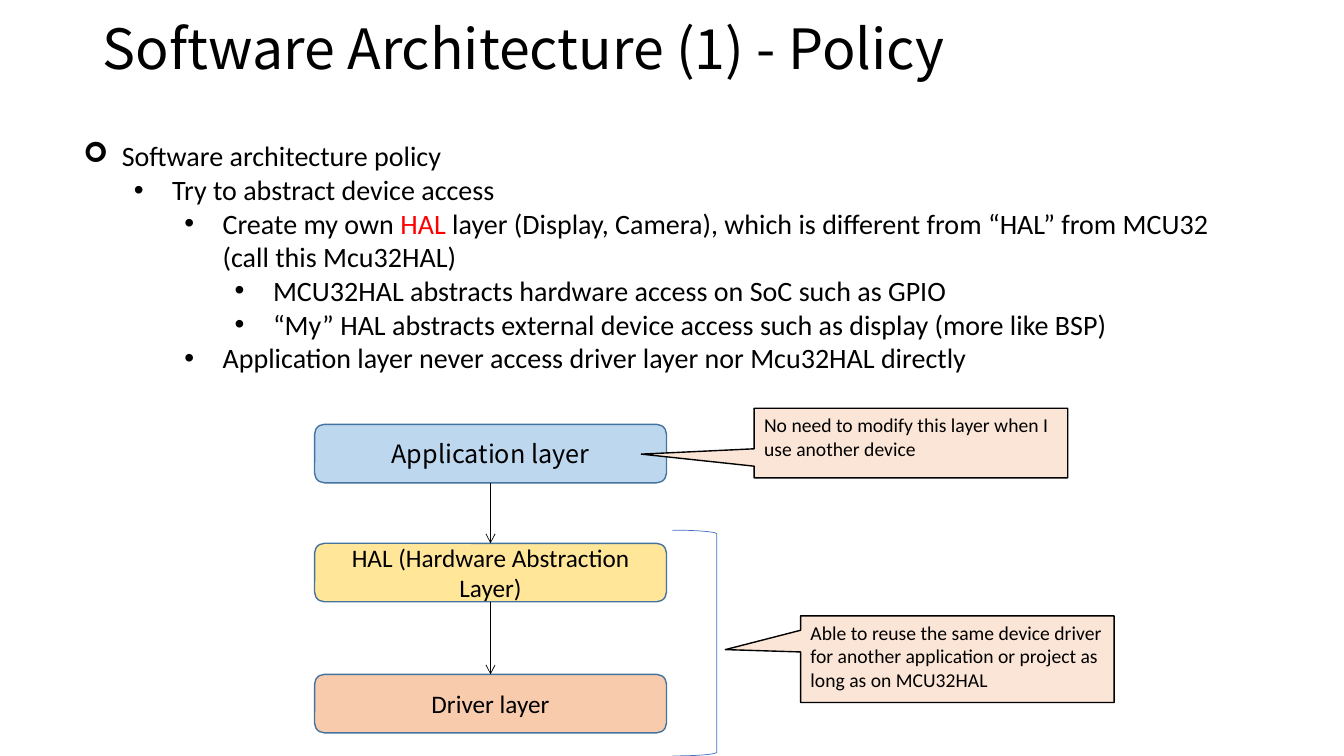
from lxml import etree
from pptx import Presentation
from pptx.dml.color import RGBColor
from pptx.enum import shapes, text
from pptx.oxml import ns
from pptx.util import Inches, Pt

BODY_FONT = "Calibri"
TITLE_FONT = "Noto Sans CJK JP"
BLACK = "000000"
LAYER_LEFT, LAYER_WIDTH, LAYER_HEIGHT = 3.12, 3.49, 0.58
LAYERS = [
    ("Application layer", 4.21, "BDD7EE", TITLE_FONT),
    ("HAL (Hardware Abstraction Layer)", 5.39, "FFE699", BODY_FONT),
    ("Driver layer", 6.69, "F8CBAD", BODY_FONT),
]
POLICY = [
    (0, ["Software architecture policy"]),
    (1, ["Try to abstract device access"]),
    (2, ["Create my own ", "HAL", " layer (Display, Camera), which is different "
         "from “HAL” from MCU32 (call this Mcu32HAL)"]),
    (3, ["MCU32HAL abstracts hardware access on SoC such as GPIO"]),
    (3, ["“My” HAL abstracts external device access such as display (more like BSP)"]),
    (2, ["Application layer never access driver layer nor Mcu32HAL directly"]),
]


def color(value):
    """Return the colour for a hex string."""
    return RGBColor.from_string(value)


def set_font(paragraph, size, name=BODY_FONT):
    """Set a black font on a whole paragraph."""
    paragraph.font.size = Pt(size)
    paragraph.font.name = name
    paragraph.font.color.rgb = color(BLACK)


def set_line(shape, line_color, width):
    """Set the outline of a shape or connector."""
    shape.line.color.rgb = color(line_color)
    shape.line.width = Pt(width)


def add_text_box(slide, left, top, width, height):
    """Add a wrapping text box and return its text frame."""
    box = slide.shapes.add_textbox(Inches(left), Inches(top), Inches(width), Inches(height))
    box.text_frame.word_wrap = True
    return box.text_frame


def add_title(slide, title):
    """Add the slide title."""
    frame = add_text_box(slide, 0.92, 0.17, 11.5, 0.69)
    frame.vertical_anchor = text.MSO_ANCHOR.MIDDLE
    paragraph = frame.paragraphs[0]
    paragraph.text = title
    paragraph.line_spacing = 0.9
    set_font(paragraph, 39.6, TITLE_FONT)


def set_bullet(paragraph, level):
    """Give a paragraph the hanging bullet of its level."""
    paragraph.level = level
    properties = paragraph._p.get_or_add_pPr()
    properties.set("marL", str(Inches(0.38 + 0.5 * level)))
    properties.set("indent", str(Inches(-0.38)))
    font, character = ("Arial", "•") if level else ("Wingdings", "➢")
    bullet_font = etree.Element(ns.qn("a:buFont"), typeface=font)
    bullet = etree.Element(ns.qn("a:buChar"), char=character)
    properties.insert(0, bullet_font)
    properties.insert(1, bullet)


def add_policy(slide):
    """Add the nested policy list."""
    frame = add_text_box(slide, 0.73, 1.33, 11.8, 2.46)
    for index, (level, parts) in enumerate(POLICY):
        paragraph = frame.add_paragraph() if index else frame.paragraphs[0]
        set_bullet(paragraph, level)
        set_font(paragraph, 20)
        for part in parts:
            run = paragraph.add_run()
            run.text = part
            if part == "HAL":
                run.font.color.rgb = color("FF0000")


def add_box(slide, kind, bounds, fill, line_color, label, size, font=BODY_FONT):
    """Add a filled preset shape with text."""
    shape = slide.shapes.add_shape(kind, *map(Inches, bounds))
    shape.shadow.inherit = False
    shape.fill.solid()
    shape.fill.fore_color.rgb = color(fill)
    set_line(shape, line_color, 1)
    shape.text_frame.word_wrap = True
    paragraph = shape.text_frame.paragraphs[0]
    paragraph.text = label
    set_font(paragraph, size, font)
    return shape


def add_layer(slide, label, top, fill, font):
    """Add one software layer."""
    bounds = (LAYER_LEFT, top, LAYER_WIDTH, LAYER_HEIGHT)
    layer = add_box(slide, shapes.MSO_SHAPE.ROUNDED_RECTANGLE, bounds, fill,
                    "43739E", label, 18, font)
    layer.text_frame.vertical_anchor = text.MSO_ANCHOR.MIDDLE
    layer.text_frame.paragraphs[0].alignment = text.PP_ALIGN.CENTER
    return layer


def add_callout(slide, bounds, tip, label):
    """Add a callout whose tip is given relative to its centre."""
    callout = add_box(slide, shapes.MSO_SHAPE.RECTANGULAR_CALLOUT, bounds,
                      "FBE5D6", BLACK, label, 14)
    callout.text_frame.vertical_anchor = text.MSO_ANCHOR.TOP
    callout.text_frame.paragraphs[0].alignment = text.PP_ALIGN.LEFT
    callout.adjustments[0], callout.adjustments[1] = tip


def add_arrow(slide, upper, lower):
    """Connect two layers with a downward arrow."""
    arrow = slide.shapes.add_connector(shapes.MSO_CONNECTOR.STRAIGHT, 0, 0, 0, 0)
    arrow.begin_connect(upper, 2)
    arrow.end_connect(lower, 0)
    set_line(arrow, BLACK, 0.5)
    etree.SubElement(arrow.line._get_or_add_ln(), ns.qn("a:tailEnd"), type="arrow")
    etree.SubElement(arrow._element.spPr, ns.qn("a:effectLst"))


def add_bracket(slide):
    """Add the bracket around the reusable layers."""
    bounds = (6.67, 5.26, 0.44, 2.24)
    bracket = slide.shapes.add_shape(shapes.MSO_SHAPE.RIGHT_BRACKET, *map(Inches, bounds))
    bracket.shadow.inherit = False
    bracket.fill.background()
    set_line(bracket, "4472C4", 0.5)


def main():
    """Build and save the slide."""
    presentation = Presentation()
    presentation.slide_width = Inches(13.33)
    presentation.slide_height = Inches(7.5)
    slide = presentation.slides.add_slide(presentation.slide_layouts[6])
    add_title(slide, "Software Architecture (1) - Policy")
    add_policy(slide)
    layers = [add_layer(slide, *layer) for layer in LAYERS]
    for upper, lower in zip(layers, layers[1:]):
        add_arrow(slide, upper, lower)
    add_callout(slide, (7.94, 6.11, 3.11, 0.86), (-0.74, -0.11),
                "Able to reuse the same device driver for another application "
                "or project as long as on MCU32HAL")
    add_callout(slide, (7.48, 4.05, 3.11, 0.69), (-0.86, 0.16),
                "No need to modify this layer when I use another device")
    add_bracket(slide)
    presentation.save("out.pptx")


if __name__ == "__main__":
    main()
